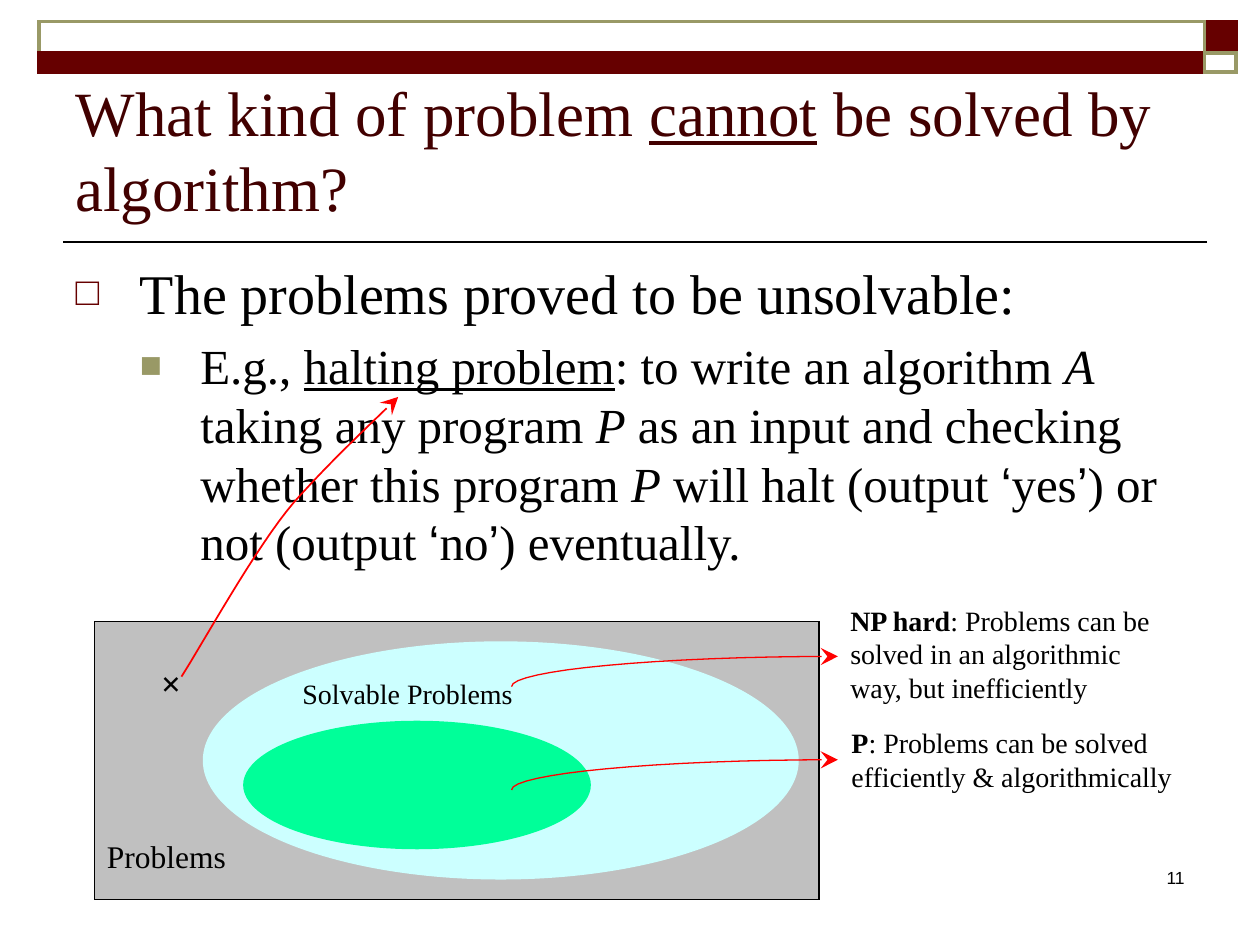
from dataclasses import dataclass

from lxml.etree import SubElement
from pptx import Presentation
from pptx.dml.color import RGBColor
from pptx.enum.shapes import MSO_CONNECTOR, MSO_SHAPE
from pptx.enum.text import MSO_ANCHOR, MSO_AUTO_SIZE, PP_ALIGN
from pptx.oxml.ns import qn
from pptx.util import Inches, Pt


@dataclass(frozen=True)
class Theme:
    serif: str = "Times New Roman"
    sans: str = "Arial"
    maroon: str = "660000"
    olive: str = "999966"
    title: str = "420000"
    black: str = "000000"
    gray: str = "C0C0C0"
    cyan: str = "CCFFFF"
    green: str = "00FF99"
    red: str = "FF0000"
    title_size: int = 36
    body_size: int = 32
    detail_size: int = 28
    symbol_size: int = 20
    label_size: int = 18
    note_size: int = 16
    number_size: int = 10


THEME = Theme()


def write_runs(paragraph, runs, size, color=THEME.black, font=THEME.serif):
    """Add (text, style) runs; style letters: b, i, u, and s for sans."""
    for text, style in runs:
        run = paragraph.add_run()
        run.text = text
        run.font.name = THEME.sans if "s" in style else font
        run.font.size = Pt(size)
        run.font.color.rgb = RGBColor.from_string(color)
        run.font.bold = "b" in style
        run.font.italic = "i" in style
        run.font.underline = "u" in style


def place(shape, box):
    shape.left, shape.top, shape.width, shape.height = map(Inches, box)


def add_text(slide, box, paragraphs, size, wrap=True, font=THEME.serif, align=PP_ALIGN.LEFT):
    frame = slide.shapes.add_textbox(*map(Inches, box)).text_frame
    frame.word_wrap = wrap
    for index, runs in enumerate(paragraphs):
        paragraph = frame.add_paragraph() if index else frame.paragraphs[0]
        paragraph.alignment = align
        write_runs(paragraph, runs, size, font=font)


def add_block(slide, kind, box, fill=None, line=None, width=2):
    shape = slide.shapes.add_shape(kind, *map(Inches, box))
    shape.shadow.inherit = False
    if fill:
        shape.fill.solid()
        shape.fill.fore_color.rgb = RGBColor.from_string(fill)
    else:
        shape.fill.background()
    if line:
        shape.line.color.rgb = RGBColor.from_string(line)
        shape.line.width = Pt(width)
        SubElement(shape.line._get_or_add_ln(), qn("a:miter"), lim="800000")
    else:
        shape.line.fill.background()
    return shape


def label_block(shape, text, size, anchor, top=0.05, bottom=0.05):
    frame = shape.text_frame
    frame.word_wrap = True
    frame.vertical_anchor = anchor
    frame.margin_top, frame.margin_bottom = Inches(top), Inches(bottom)
    frame.paragraphs[0].alignment = PP_ALIGN.LEFT
    write_runs(frame.paragraphs[0], [(text, "")], size)


def add_rule(slide, start, end):
    rule = slide.shapes.add_connector(MSO_CONNECTOR.STRAIGHT, *map(Inches, start + end))
    rule.line.color.rgb = RGBColor.from_string(THEME.black)
    rule.line.width = Pt(1)
    SubElement(rule._element.spPr, qn("a:effectLst"))


def bezier(start, first, second, end, steps=16):
    for step in range(1, steps + 1):
        t = step / steps
        weights = ((1 - t) ** 3, 3 * t * (1 - t) ** 2, 3 * t * t * (1 - t), t ** 3)
        yield tuple(
            sum(weight * value for weight, value in zip(weights, values))
            for values in zip(start, first, second, end)
        )


def add_curved_arrow(slide, start, segments, width):
    points = [start]
    for segment in segments:
        points.extend(bezier(points[-1], *segment))
    # The builder rounds to whole units, so points go in as full lengths
    origin, *others = [(Inches(x), Inches(y)) for x, y in points]
    builder = slide.shapes.build_freeform(*origin)
    builder.add_line_segments(others, close=False)
    arrow = builder.convert_to_shape()
    arrow.shadow.inherit = False
    arrow.fill.background()
    arrow.line.color.rgb = RGBColor.from_string(THEME.red)
    arrow.line.width = Pt(width)
    SubElement(arrow.line._get_or_add_ln(), qn("a:tailEnd"), type="stealth", w="lg", len="lg")


def set_bullet(paragraph, character, color, percent, margin, hanging):
    properties = paragraph._p.get_or_add_pPr()
    properties.set("marL", str(Inches(margin)))
    properties.set("indent", str(-Inches(hanging)))
    bullet_color = SubElement(properties, qn("a:buClr"))
    SubElement(bullet_color, qn("a:srgbClr"), val=color)
    SubElement(properties, qn("a:buSzPct"), val=str(percent * 1000))
    SubElement(properties, qn("a:buChar"), char=character)


def add_header(slide):
    left, middle, top, split = 0.31, 9.56, 0.17, 0.42
    wide, narrow, tall, short = 9.25, 0.25, 0.25, 0.15
    add_rule(slide, (9.58, 1.92), (0.5, 1.92))
    for box, filled in (
        ((middle, top, narrow, tall), True),
        ((left, top, wide, tall), False),
        ((left, split, wide, short), True),
        ((middle, split, narrow, short), False),
    ):
        fill = THEME.maroon if filled else None
        add_block(slide, MSO_SHAPE.RECTANGLE, box, fill, fill or THEME.olive)


def fill_title(title):
    place(title, (0.5, 0.58, 9, 1.25))
    frame = title.text_frame
    frame.auto_size = MSO_AUTO_SIZE.NONE
    frame.vertical_anchor = MSO_ANCHOR.BOTTOM
    frame.paragraphs[0].alignment = PP_ALIGN.LEFT
    runs = [("What kind of problem ", ""), ("cannot", "u"), (" be solved by algorithm?", "")]
    write_runs(frame.paragraphs[0], runs, THEME.title_size, THEME.title)


def fill_body(body):
    place(body, (0.5, 2, 9, 3.01))
    frame = body.text_frame
    frame.auto_size = MSO_AUTO_SIZE.NONE
    heading = frame.paragraphs[0]
    set_bullet(heading, "□", THEME.maroon, 70, 0.51, 0.51)
    write_runs(heading, [("The problems proved to be unsolvable:", "")], THEME.body_size)
    detail = frame.add_paragraph()
    detail.level = 1
    set_bullet(detail, "■", THEME.olive, 75, 0.99, 0.48)
    write_runs(detail, [
        ("E.g., ", ""), ("halting problem", "u"), (": to write an algorithm ", ""), ("A", "i"),
        (" taking any program ", ""), ("P", "i"),
        (" as an input and checking whether this program ", ""), ("P", "i"),
        (" will halt (output ", ""), ("‘", "s"), ("yes", ""), ("’", "s"),
        (") or not (output ", ""), ("‘", "s"), ("no", ""), ("’", "s"), (") eventually.", ""),
    ], THEME.detail_size)


def add_diagram(slide):
    # Nested problem classes
    problems = add_block(slide, MSO_SHAPE.RECTANGLE, (0.75, 4.93, 5.75, 2.21),
                         THEME.gray, THEME.black, 0.75)
    label_block(problems, "Problems", THEME.label_size, MSO_ANCHOR.BOTTOM, bottom=0.2)
    solvable = add_block(slide, MSO_SHAPE.OVAL, (1.61, 5.09, 4.73, 1.89), THEME.cyan)
    label_block(solvable, "Solvable Problems", THEME.note_size, MSO_ANCHOR.TOP, top=0)
    add_block(slide, MSO_SHAPE.OVAL, (1.93, 5.72, 2.76, 1.02), THEME.green)

    # Explanations
    add_text(slide, (6.65, 4.74, 2.76, 0.9), [[
        ("NP hard", "b"),
        (": Problems can be solved in an algorithmic way, but inefficiently", ""),
    ]], THEME.note_size)
    add_text(slide, (6.66, 5.71, 2.77, 0.64), [
        [("P", "b"), (": Problems can be solved", "")],
        [("efficiently & algorithmically", "")],
    ], THEME.note_size, wrap=False)
    add_text(slide, (1.18, 5.2, 0.35, 0.43), [[("×", "b")]], THEME.symbol_size, wrap=False)

    # Arrows from each class to its explanation
    add_curved_arrow(slide, (1.44, 5.37), [
        ((1.59, 5.14), (2.03, 4.34), (2.33, 3.99)),
        ((2.64, 3.64), (2.99, 3.32), (3.16, 3.15)),
    ], 1)
    for top in (6.03, 5.21):
        add_curved_arrow(slide, (4.06, top + 0.24),
                         [((4.06, top + 0.11), (5.22, top), (6.65, top))], 0.75)


def main():
    presentation = Presentation()
    presentation.slide_width, presentation.slide_height = Inches(10), Inches(7.5)
    slide = presentation.slides.add_slide(presentation.slide_layouts[1])
    add_header(slide)
    fill_title(slide.shapes.title)
    fill_body(slide.placeholders[1])
    add_diagram(slide)
    add_text(slide, (7.42, 6.83, 2.08, 0.5), [[("11", "")]], THEME.number_size,
             font=THEME.sans, align=PP_ALIGN.RIGHT)
    presentation.save("out.pptx")


if __name__ == "__main__":
    main()
